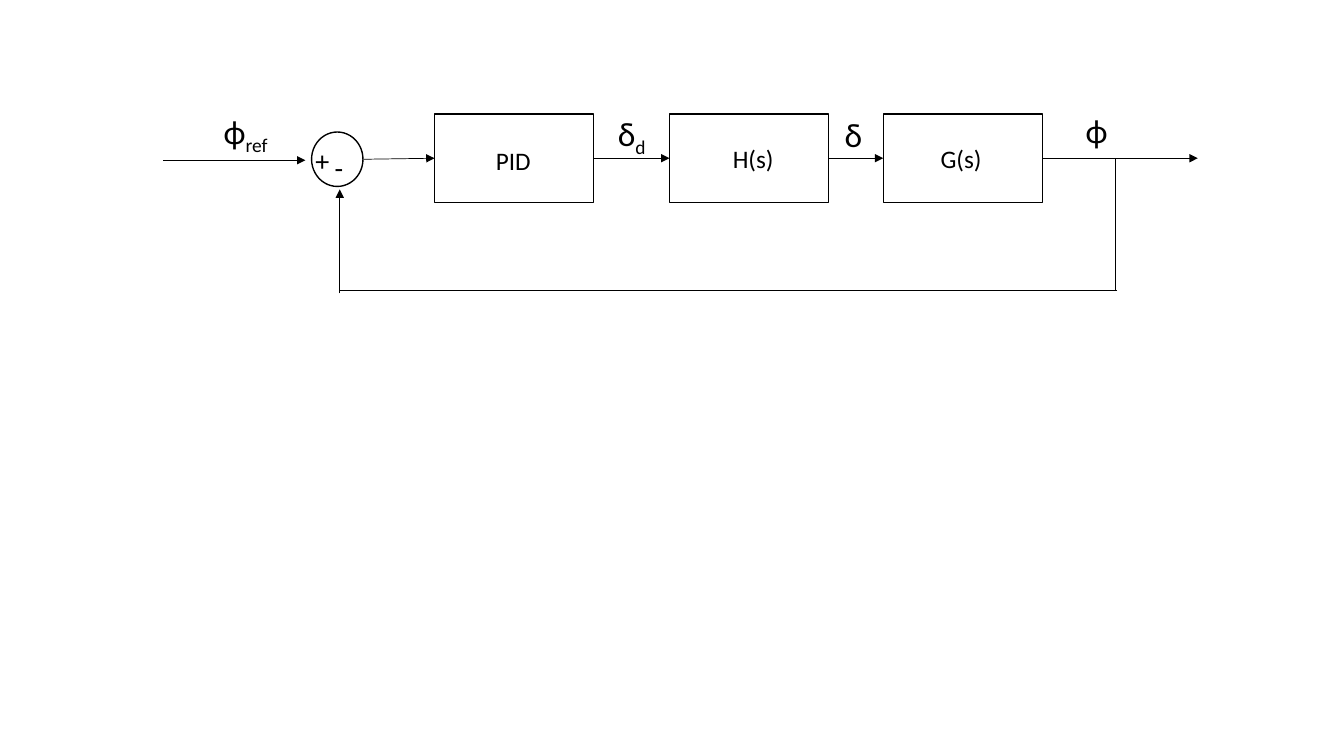
from pptx import Presentation
from pptx.dml.color import RGBColor
from pptx.enum.shapes import MSO_CONNECTOR, MSO_SHAPE
from pptx.enum.text import MSO_AUTO_SIZE
from pptx.oxml.ns import qn
from pptx.util import Inches, Pt
from lxml.etree import SubElement

BLACK = RGBColor(0, 0, 0)
FONT = "Calibri"


def add_span(para, text, size=18, subscript=False):
    span = para.add_run()
    span.text = text
    span.font.name = FONT
    span.font.size = Pt(size)
    span.font.color.rgb = BLACK
    if subscript:
        span.font._element.set("baseline", "-25000")


class Diagram:
    outline_width = Pt(1)
    signal_width = Pt(0.5)

    def __init__(self, page):
        self.page = page

    def outline(self, kind, left, top, width, height, parent=None):
        shapes = (parent or self.page).shapes
        shape = shapes.add_shape(kind, Inches(left), Inches(top), Inches(width), Inches(height))
        shape.shadow.inherit = False
        shape.fill.background()
        shape.line.color.rgb = BLACK
        shape.line.width = self.outline_width

    def label(self, text, left, top, width, height, size=18, subscript="", wrap=True, parent=None):
        shapes = (parent or self.page).shapes
        box = shapes.add_textbox(Inches(left), Inches(top), Inches(width), Inches(height))
        frame = box.text_frame
        frame.word_wrap = wrap
        frame.auto_size = MSO_AUTO_SIZE.SHAPE_TO_FIT_TEXT
        para = frame.paragraphs[0]
        add_span(para, text, size)
        if subscript:
            add_span(para, subscript, size, subscript=True)

    def signal(self, start, end, arrow=True):
        line = self.page.shapes.add_connector(
            MSO_CONNECTOR.STRAIGHT, *[Inches(value) for value in (*start, *end)])
        line.line.color.rgb = BLACK
        line.line.width = self.signal_width
        if arrow:
            SubElement(line.line._get_or_add_ln(), qn("a:tailEnd"), type="triangle")
        SubElement(line._element.spPr, qn("a:effectLst"))

    def summing_point(self):
        group = self.page.shapes.add_group_shape()
        self.outline(MSO_SHAPE.OVAL, 3.09, 1.31, 0.51, 0.54, parent=group)
        self.label("+", 3.03, 1.37, 0.34, 0.44, size=20, wrap=False, parent=group)
        self.label("-", 3.22, 1.44, 0.29, 0.44, size=20, wrap=False, parent=group)


deck = Presentation()
deck.slide_width = Inches(13.33)
deck.slide_height = Inches(7.5)
diagram = Diagram(deck.slides.add_slide(deck.slide_layouts[6]))

BLOCK_TOP, BLOCK_WIDTH, BLOCK_HEIGHT = 1.13, 1.58, 0.88
AXIS = BLOCK_TOP + BLOCK_HEIGHT / 2
FEEDBACK_LEFT, FEEDBACK_RIGHT, FEEDBACK_Y = 3.37, 11.06, 2.88
OUTPUT_END = 11.88

blocks = [
    ("PID", 4.31, 4.82, 1.39, 0.59),
    ("H(s)", 6.64, 7.17, 1.37, 0.64),
    ("G(s)", 8.76, 9.23, 1.37, 0.72),
]
for name, left, text_left, text_top, text_width in blocks:
    diagram.outline(MSO_SHAPE.RECTANGLE, left, BLOCK_TOP, BLOCK_WIDTH, BLOCK_HEIGHT)
    diagram.label(name, text_left, text_top, text_width, 0.4)

diagram.summing_point()

block_lefts = [block[1] for block in blocks]
for left, target in zip(block_lefts, block_lefts[1:] + [OUTPUT_END]):
    diagram.signal((left + BLOCK_WIDTH, AXIS), (target, AXIS))
diagram.signal((1.62, 1.59), (3.03, 1.59))
diagram.signal((3.61, 1.58), (block_lefts[0], AXIS))

diagram.signal((FEEDBACK_RIGHT, AXIS), (FEEDBACK_RIGHT, 2.89), arrow=False)
diagram.signal((11.08, FEEDBACK_Y), (FEEDBACK_LEFT, FEEDBACK_Y), arrow=False)
diagram.signal((FEEDBACK_LEFT, 2.91), (FEEDBACK_LEFT, 1.88))

for symbol, subscript, left, top in [
    ("ϕ", "ref", 2.12, 1.05),
    ("δ", "d", 6.03, 1.07),
    ("δ", "", 8.28, 1.08),
    ("ϕ", "", 10.67, 1.04),
]:
    diagram.label(symbol, left, top, 0.84, 0.5, size=24, subscript=subscript)

deck.save("out.pptx")
